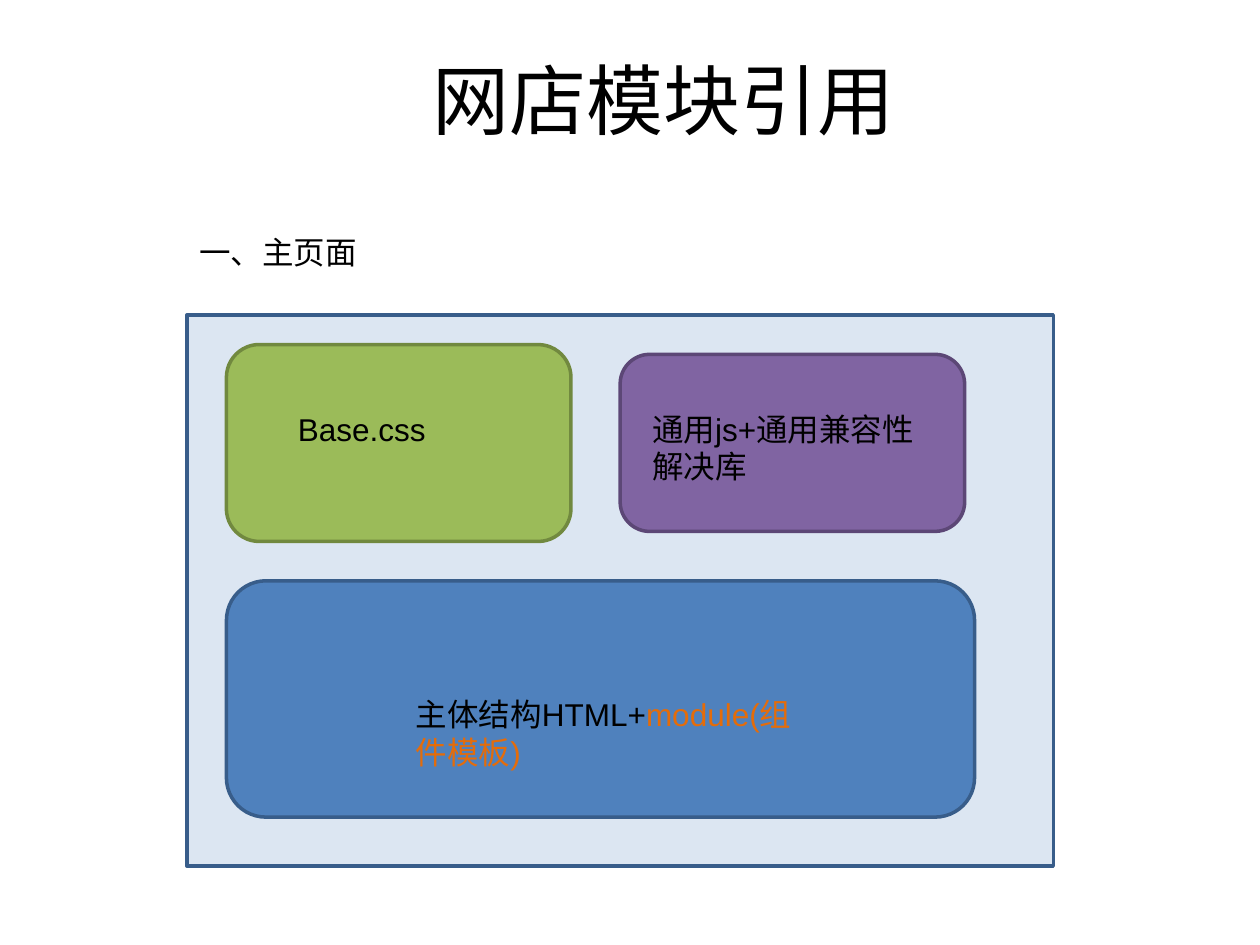
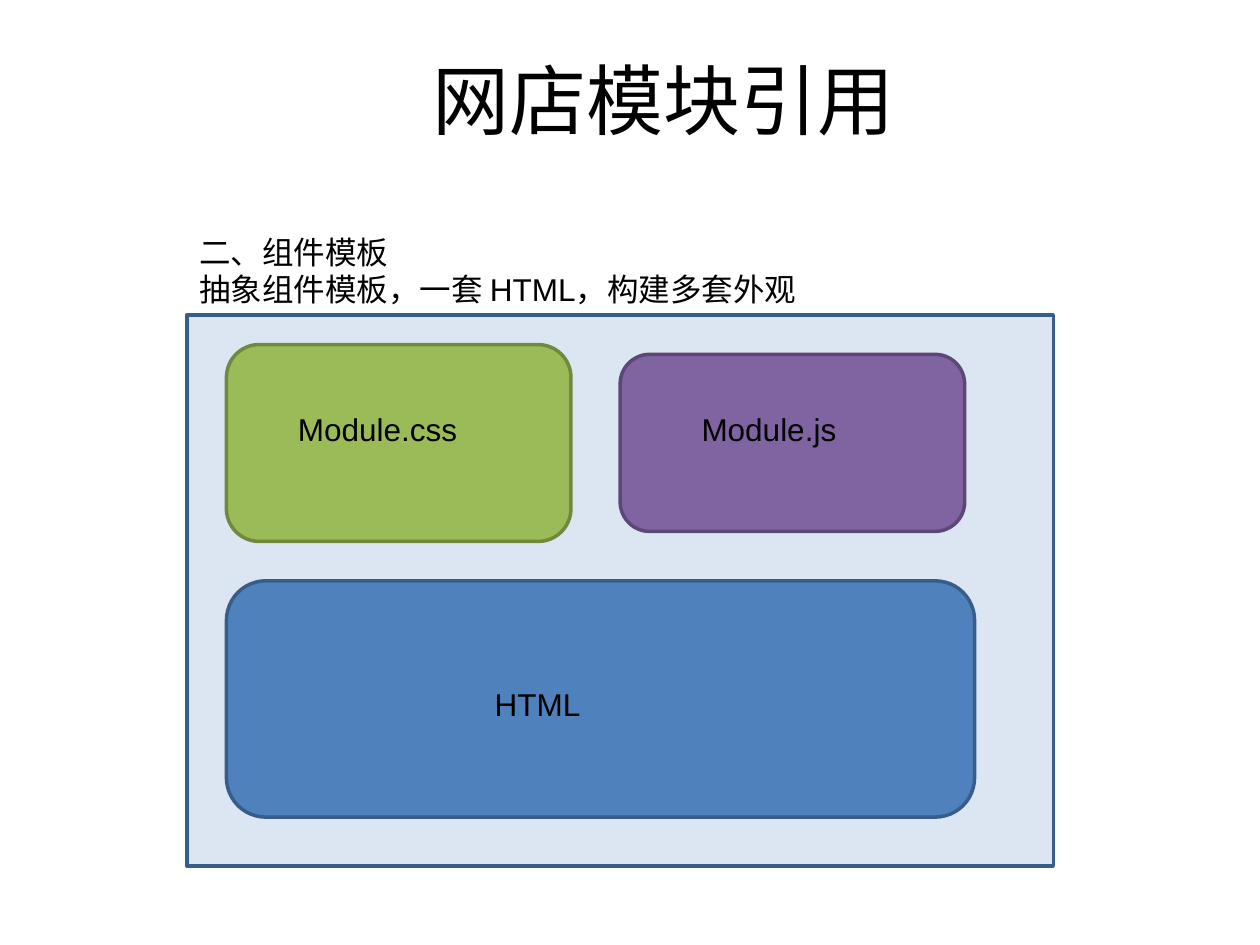
import pptx
import pptx.util
import pptx.dml.color
import pptx.enum.shapes
import pptx.enum.text

Pt = pptx.util.Pt
SHAPES = pptx.enum.shapes.MSO_SHAPE

TITLE = "网店模块引用"
TITLE_BOX = (73.5, 22.5, 612, 67.5)
BLACK, ORANGE = "000000", "E46C0A"

# Panels on every slide: shape, box, fill, line
PANELS = [
    (SHAPES.RECTANGLE, (106.9, 180, 495, 315), "DCE6F2", "385D8A"),
    (SHAPES.ROUNDED_RECTANGLE, (129.4, 331.9, 427.5, 135), "4F81BD", "385D8A"),
    (SHAPES.ROUNDED_RECTANGLE, (129.4, 196.9, 196.9, 112.5), "9BBB59", "71893F"),
    (SHAPES.ROUNDED_RECTANGLE, (354.4, 202.5, 196.9, 101.2), "8064A2", "5C4776"),
]

# Labels of each slide: box, paragraphs, each a list of (text, colour) runs
SLIDES = [
    [
        ((106.9, 129.4, 123.8, 29), [[("一、主页面", BLACK)]]),
        ((163.1, 230.6, 112.5, 29), [[("Base.css", BLACK)]]),
        ((365.6, 230.6, 168.8, 50.4), [[("通用js+通用兼容性解决库", BLACK)]]),
        ((230.6, 393.8, 230.6, 50.4),
         [[("主体结构HTML+", BLACK), ("module(组件模板)", ORANGE)]]),
    ],
    [
        ((106.9, 129.4, 478.1, 50.4),
         [[("二、组件模板", BLACK)],
          [("抽象组件模板，一套 HTML，构建多套外观", BLACK)]]),
        ((163.1, 230.6, 112.5, 29), [[("Module.css", BLACK)]]),
        ((393.8, 230.6, 112.5, 29), [[("Module.js", BLACK)]]),
        ((275.6, 388.1, 118.1, 29), [[("HTML", BLACK)]]),
    ],
]


def rgb(value):
    return pptx.dml.color.RGBColor.from_string(value)


def points(box):
    return [Pt(v) for v in box]


def add_run(p, text, size=18, font="Arial", color=BLACK):
    r = p.add_run()
    r.text = text
    r.font.size = Pt(size)
    r.font.name = font
    r.font.color.rgb = rgb(color)


def add_title(s):
    sp = s.shapes.title
    sp.left, sp.top, sp.width, sp.height = points(TITLE_BOX)
    tf = sp.text_frame
    tf.vertical_anchor = pptx.enum.text.MSO_ANCHOR.MIDDLE
    p = tf.paragraphs[0]
    p.alignment = pptx.enum.text.PP_ALIGN.CENTER
    add_run(p, TITLE, size=44, font="Calibri")


def add_panel(s, kind, box, fill, line):
    sp = s.shapes.add_shape(kind, *points(box))
    sp.shadow.inherit = False
    sp.fill.solid()
    sp.fill.fore_color.rgb = rgb(fill)
    sp.line.color.rgb = rgb(line)
    sp.line.width = Pt(2)


def add_label(s, box, paragraphs):
    tf = s.shapes.add_textbox(*points(box)).text_frame
    tf.word_wrap = True
    tf.auto_size = pptx.enum.text.MSO_AUTO_SIZE.SHAPE_TO_FIT_TEXT
    for i, runs in enumerate(paragraphs):
        p = tf.add_paragraph() if i else tf.paragraphs[0]
        for text, color in runs:
            add_run(p, text, color=color)


def main():
    prs = pptx.Presentation()
    prs.slide_width, prs.slide_height = Pt(720), Pt(540)
    title_only = prs.slide_layouts[5]
    for labels in SLIDES:
        s = prs.slides.add_slide(title_only)
        add_title(s)
        for panel in PANELS:
            add_panel(s, *panel)
        for box, paragraphs in labels:
            add_label(s, box, paragraphs)
    prs.save("out.pptx")


if __name__ == "__main__":
    main()
